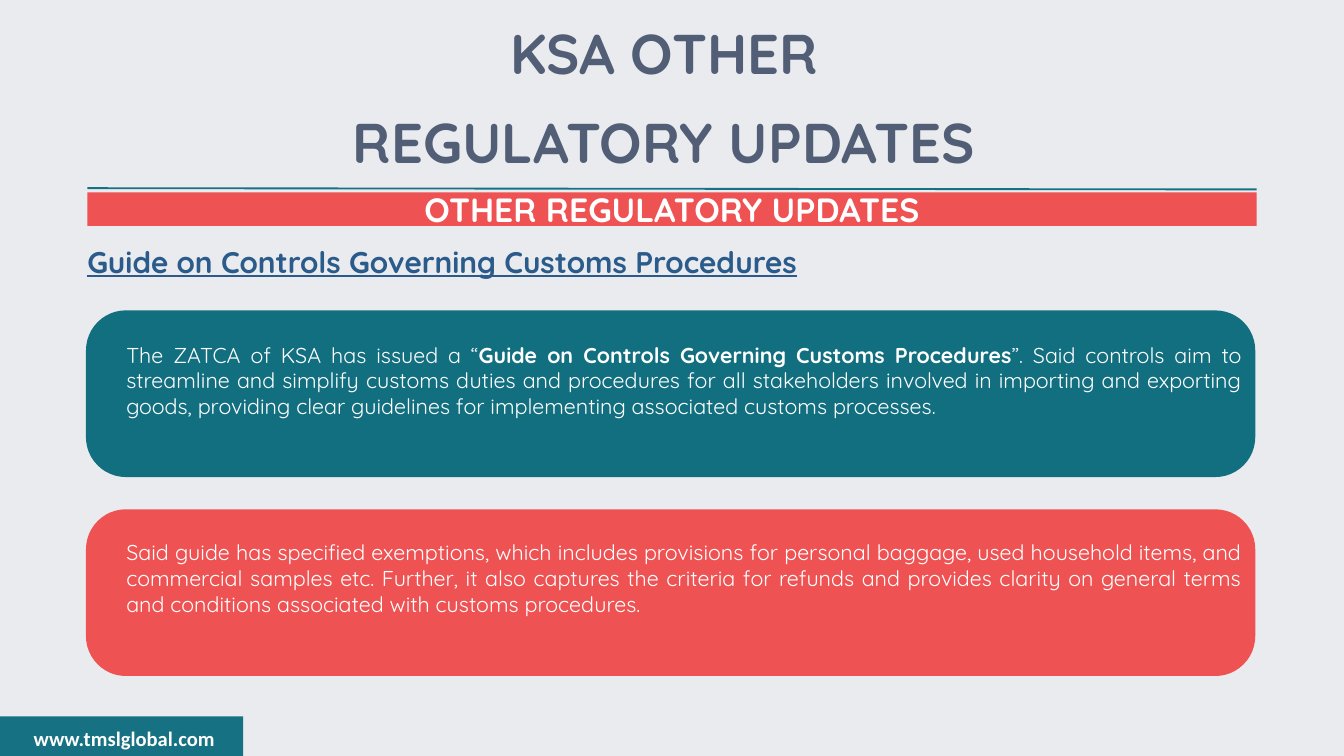
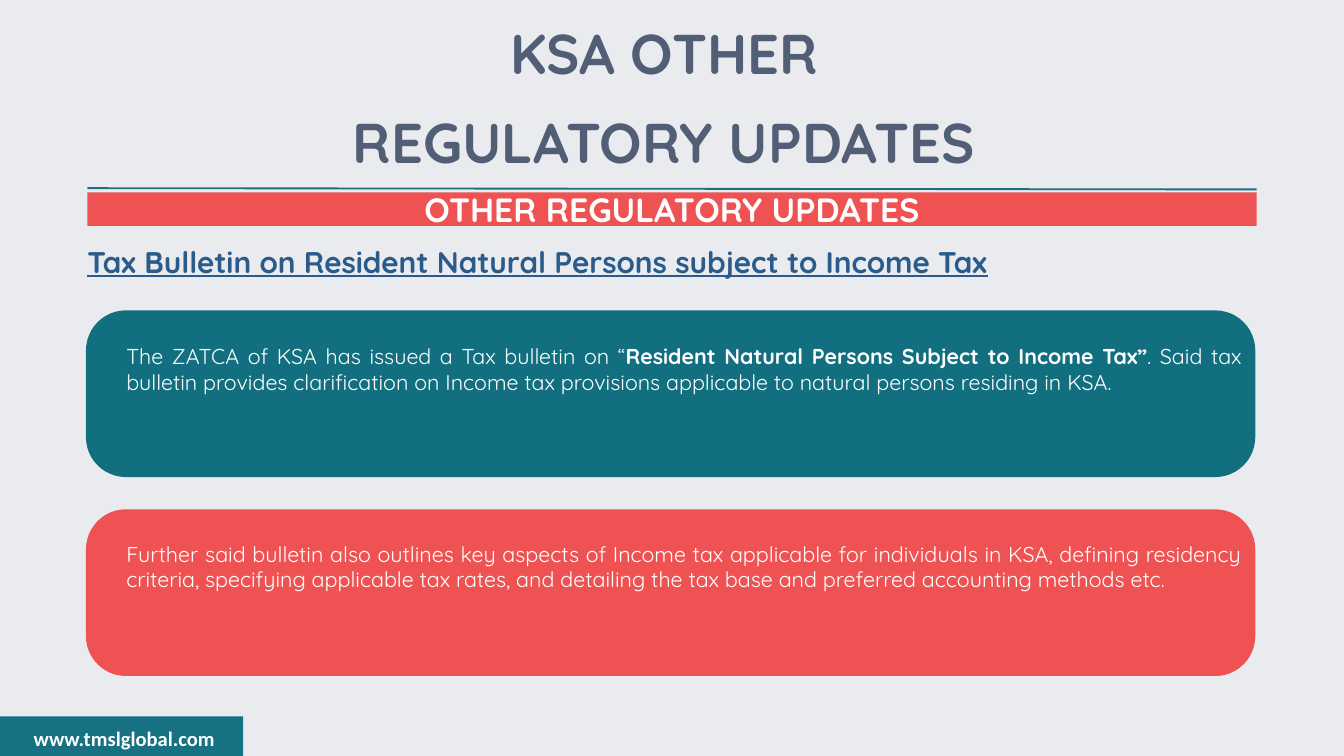
from pptx import Presentation
from pptx.dml.color import RGBColor
from pptx.enum import shapes, text
from pptx.oxml import ns
from pptx.util import Pt
from lxml import etree

PAPER = RGBColor(0xE9, 0xEB, 0xEF)
FOOTER_TEAL = RGBColor(0x16, 0x71, 0x82)
PANEL_TEAL = RGBColor(0x12, 0x6F, 0x80)
CORAL = RGBColor(0xEE, 0x52, 0x53)
SLATE = RGBColor(0x52, 0x5E, 0x76)
BLUE = RGBColor(0x2A, 0x5B, 0x8A)
WHITE = RGBColor(0xFF, 0xFF, 0xFF)

LEFT, WIDTH = 46.8, 626.4
PANEL_LEFT, PANEL_HEIGHT, PANEL_RADIUS = 46.1, 89.3, 21.4
PANEL_TOPS = 166.3, 272.9
PANEL_FILLS = PANEL_TEAL, CORAL
CENTER, JUSTIFY = text.PP_ALIGN.CENTER, text.PP_ALIGN.JUSTIFY

updates = [
    ("Guide on Controls Governing Customs Procedures", [
        (10.5, ["The ZATCA of KSA has issued a “",
                "Guide on Controls Governing Customs Procedures",
                "”. Said controls aim to streamline and simplify customs duties and "
                "procedures for all stakeholders involved in importing and exporting "
                "goods, providing clear guidelines for implementing associated "
                "customs processes. "]),
        (9.9, ["Said guide has specified exemptions, which includes provisions for "
               "personal baggage, used household items, and commercial samples etc. "
               "Further, it also captures the criteria for refunds and provides "
               "clarity on general terms and conditions associated with customs "
               "procedures."]),
    ]),
    ("Tax Bulletin on Resident Natural Persons subject to Income Tax", [
        (11.1, ["The ZATCA of KSA has issued a Tax bulletin on “",
                "Resident Natural Persons Subject to Income Tax”",
                ". Said tax bulletin provides clarification on Income tax provisions "
                "applicable to natural persons residing in KSA."]),
        (10.5, ["Further said bulletin also outlines key aspects of Income tax "
                "applicable for individuals in KSA, defining residency criteria, "
                "specifying applicable tax rates, and detailing the tax base and "
                "preferred accounting methods etc."]),
    ]),
]


def add_block(slide, kind, left, top, width, height, fill=None):
    box = [Pt(v) for v in (left, top, width, height)]
    if kind is None:
        block = slide.shapes.add_textbox(*box)
    else:
        block = slide.shapes.add_shape(kind, *box)
        block.shadow.inherit = False
        block.fill.solid()
        block.fill.fore_color.rgb = fill
        block.line.fill.background()
    frame = block.text_frame
    frame.word_wrap = True
    frame.margin_left = frame.margin_right = frame.margin_top = frame.margin_bottom = 0
    return block


def style(paragraph, size, color, align, bold=None, face="Quicksand"):
    paragraph.alignment = align
    font = paragraph.font
    font.size, font.name, font.bold = Pt(size), face, bold
    font.color.rgb = color


prs = Presentation()
prs.slide_width, prs.slide_height = Pt(720), Pt(405)
backdrop = prs.slide_master.background.fill
backdrop.solid()
backdrop.fore_color.rgb = PAPER

RECT = shapes.MSO_SHAPE.RECTANGLE
for topic, panels in updates:
    slide = prs.slides.add_slide(prs.slide_layouts[6])

    footer = add_block(slide, RECT, 0, 383.8, 130.3, 23, FOOTER_TEAL)
    address = add_block(slide, None, 3.6, 385.2, 126, 20.9).text_frame
    address.margin_top = Pt(3.6)
    address.text = "www.tmslglobal.com"
    style(address.paragraphs[0], 11, WHITE, CENTER, True, "Calibri")

    rule = slide.shapes.add_connector(shapes.MSO_CONNECTOR.STRAIGHT, Pt(LEFT), Pt(100.8),
                                      Pt(LEFT + WIDTH), Pt(101.5))
    rule.line.color.rgb = FOOTER_TEAL
    rule.line.width = Pt(1)
    etree.SubElement(rule._element.spPr, ns.qn("a:effectLst"))

    title = add_block(slide, None, LEFT, 35.3, WIDTH, 33.1).text_frame
    title.vertical_anchor = text.MSO_ANCHOR.MIDDLE
    title.text = "KSA OTHER \nREGULATORY UPDATES "
    for line in title.paragraphs:
        line.space_after = Pt(12)
        style(line, 30, SLATE, CENTER, True)

    band = add_block(slide, RECT, LEFT, 103, WIDTH, 18, CORAL).text_frame
    band.vertical_anchor = text.MSO_ANCHOR.MIDDLE
    band.text = "OTHER REGULATORY UPDATES"
    style(band.paragraphs[0], 18, WHITE, CENTER, True)

    heading = add_block(slide, None, LEFT, 130.3, WIDTH, 19.4).text_frame
    heading.text = topic
    style(heading.paragraphs[0], 16, BLUE, JUSTIFY, True)
    heading.paragraphs[0].font.underline = True

    for top, fill, (inset, parts) in zip(PANEL_TOPS, PANEL_FILLS, panels):
        panel = add_block(slide, shapes.MSO_SHAPE.ROUNDED_RECTANGLE, PANEL_LEFT, top,
                          WIDTH, PANEL_HEIGHT, fill)
        panel.adjustments[0] = PANEL_RADIUS / PANEL_HEIGHT
        frame = panel.text_frame
        frame.vertical_anchor = text.MSO_ANCHOR.TOP
        frame.margin_left, frame.margin_right, frame.margin_top = Pt(15.3), Pt(1), Pt(inset)
        body = frame.paragraphs[0]
        style(body, 11.5, WHITE, JUSTIFY)
        for position, part in enumerate(parts):
            run = body.add_run()
            run.text = part
            if position == 1:
                run.font.bold = True

prs.save("out.pptx")
